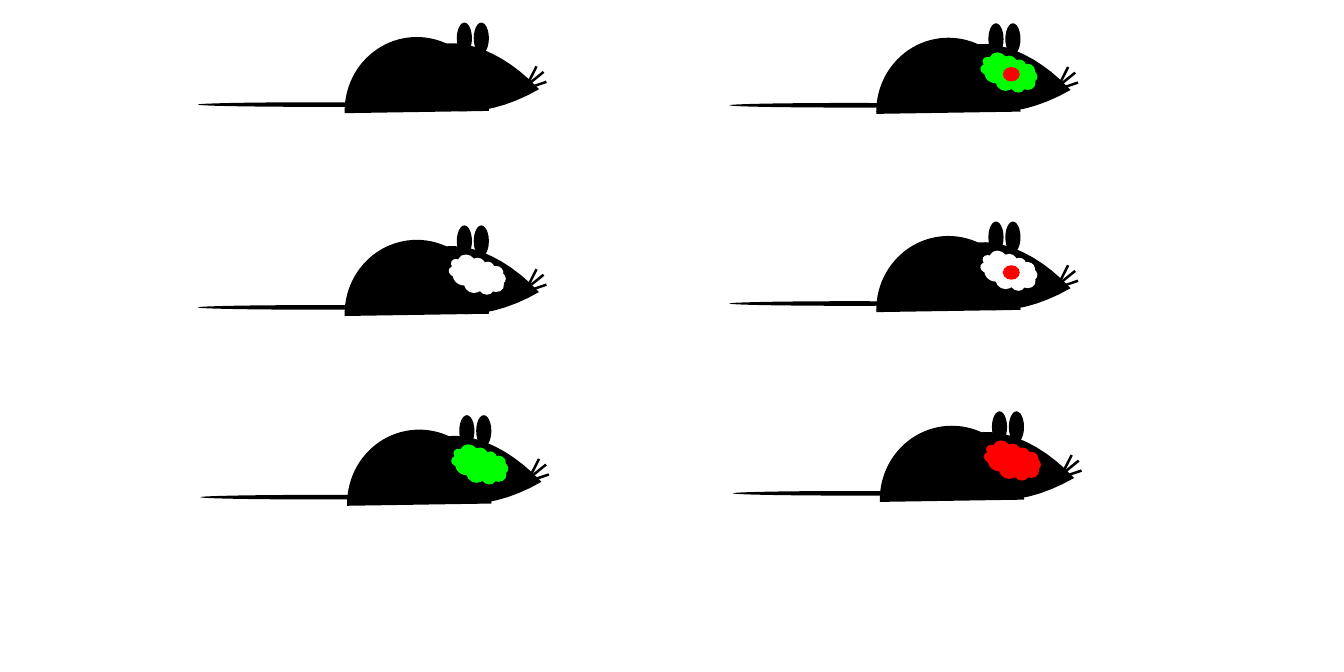
from lxml.etree import SubElement
from pptx import Presentation
from pptx.dml.color import RGBColor
from pptx.enum.shapes import MSO_CONNECTOR, MSO_SHAPE
from pptx.oxml.ns import qn
from pptx.util import Cm, Pt

BLACK, WHITE, GREEN, RED = "000000", "FFFFFF", "00FF00", "FF0000"

MICE = [
    (5.61, 0.64, None, False),
    (5.61, 6.39, WHITE, False),
    (5.68, 11.77, GREEN, False),
    (20.78, 11.66, RED, False),
    (20.68, 0.66, GREEN, True),
    (20.68, 6.28, WHITE, True),
]
EAR_LEFTS = [7.11, 7.59]
WHISKERS = [
    (9.25, 1.93, 9.60, 1.24),
    (9.14, 1.93, 9.80, 1.40),
    (9.14, 1.93, 9.88, 1.68),
]
HEAD_CURVES = [
    [(0.97, 0.84), (1.35, -1.16), (2.90, 0.84), (0.97, 3.28)],
    [(0.97, 3.28), (-0.96, 0.84), (0.58, -1.16), (0.97, 0.84)],
]
CURVE_STEPS = 24


def color(value):
    return RGBColor.from_string(value)


def paint(shape, fill, rotation=0):
    shape.shadow.inherit = False
    shape.fill.solid()
    shape.fill.fore_color.rgb = color(fill)
    shape.line.fill.background()
    shape.rotation = rotation


def add_part(page, kind, left, top, width, height, fill=BLACK, rotation=0):
    shape = page.shapes.add_shape(kind, Cm(left), Cm(top), Cm(width), Cm(height))
    paint(shape, fill, rotation)
    return shape


def curve_point(curve, step):
    t = step / CURVE_STEPS
    weights = [(1 - t) ** 3, 3 * t * (1 - t) ** 2, 3 * t**2 * (1 - t), t**3]
    return tuple(
        Cm(sum(weight * point[axis] for weight, point in zip(weights, curve)))
        for axis in (0, 1)
    )


def add_head(page, left, top):
    points = [
        curve_point(curve, step)
        for curve in HEAD_CURVES
        for step in range(1, CURVE_STEPS + 1)
    ]
    builder = page.shapes.build_freeform(*points[-1])
    builder.add_line_segments(points[:-1], close=True)
    paint(builder.convert_to_shape(Cm(left), Cm(top)), BLACK, 278.4)


def add_whiskers(page, left, top):
    group = page.shapes.add_group_shape()
    for x1, y1, x2, y2 in WHISKERS:
        whisker = group.shapes.add_connector(
            MSO_CONNECTOR.STRAIGHT,
            Cm(left + x1), Cm(top + y1), Cm(left + x2), Cm(top + y2),
        )
        whisker.line.color.rgb = color(BLACK)
        whisker.line.width = Pt(2)
        SubElement(whisker._element.spPr, qn("a:effectLst"))


def add_mouse(page, left, top, brain, spotted):
    body = add_part(page, MSO_SHAPE.CHORD, left + 4.11, top + 0.46, 4.19, 4.09, rotation=90)
    body.adjustments[0] = 88.2 * 0.6
    add_part(page, MSO_SHAPE.OVAL, left, top + 2.26, 6.81, 0.13)
    for ear_left in EAR_LEFTS:
        add_part(page, MSO_SHAPE.OVAL, left + ear_left, top + 0.23, 0.89, 0.43, rotation=270)
    add_head(page, left + 7.09, top)
    add_whiskers(page, left, top)
    if brain:
        add_part(page, MSO_SHAPE.CLOUD, left + 7.09, top + 0.91, 1.65, 1.02, brain, 26.7)
    if spotted:
        add_part(page, MSO_SHAPE.OVAL, left + 7.75, top + 1.24, 0.48, 0.41, RED)


def main():
    deck = Presentation()
    deck.slide_width, deck.slide_height = Cm(38.1), Cm(19.05)
    page = deck.slides.add_slide(deck.slide_layouts[6])
    for left, top, brain, spotted in MICE:
        add_mouse(page, left, top, brain, spotted)
    deck.save("out.pptx")


if __name__ == "__main__":
    main()
